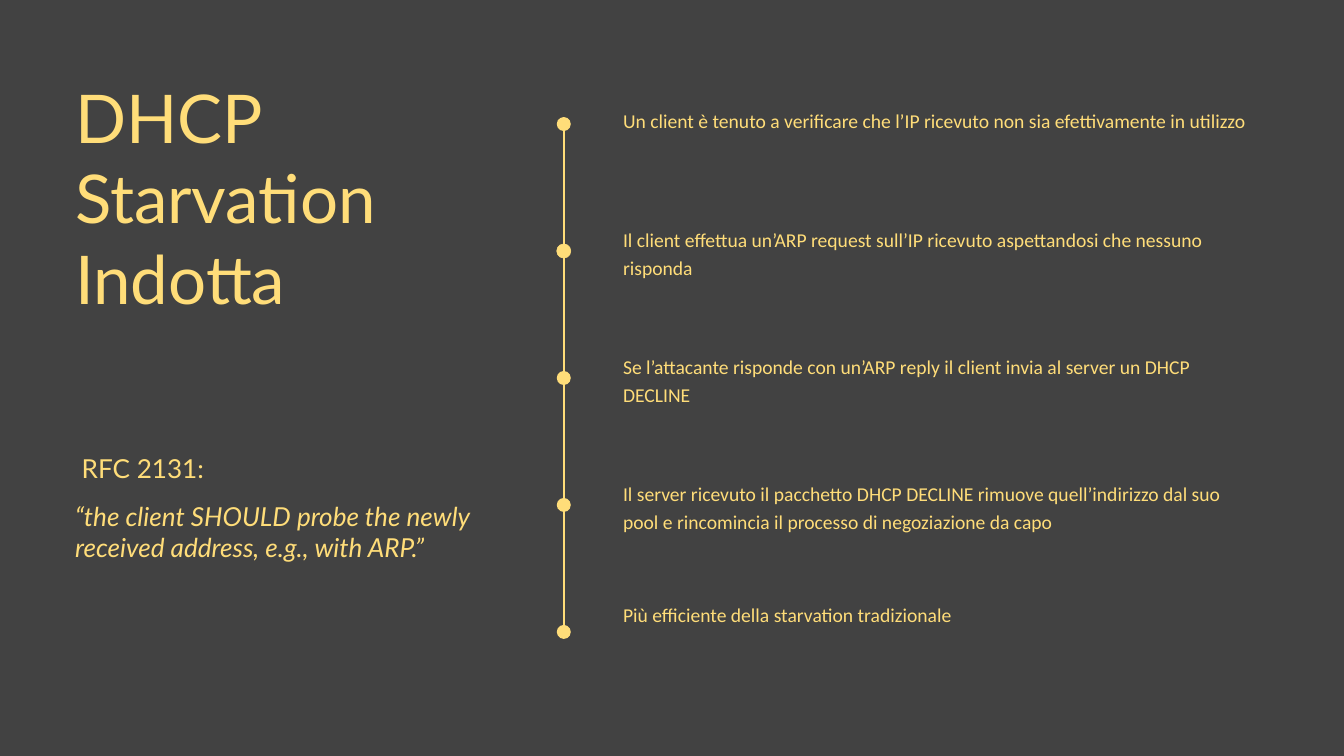
from lxml.etree import SubElement
from pptx import Presentation
from pptx.dml.color import RGBColor
from pptx.enum.shapes import MSO_CONNECTOR, MSO_SHAPE
from pptx.enum.text import MSO_ANCHOR, MSO_AUTO_SIZE, PP_ALIGN
from pptx.oxml.ns import qn
from pptx.util import Cm, Pt

YELLOW = "FFDD79"
GREY = "424242"


def color(hex_string):
    return RGBColor.from_string(hex_string)


def write(box, text, size, font="Lato", italic=False, spacing=None, inset=(0, 0)):
    frame = box.text_frame
    frame.word_wrap = True
    frame.auto_size = MSO_AUTO_SIZE.NONE
    frame.vertical_anchor = MSO_ANCHOR.TOP
    frame.margin_left = frame.margin_right = Cm(inset[0])
    frame.margin_top = frame.margin_bottom = Cm(inset[1])
    frame.text = text
    paragraph = frame.paragraphs[0]
    paragraph.alignment = PP_ALIGN.LEFT
    paragraph.space_before = Pt(0)
    if spacing:
        paragraph.line_spacing = Pt(spacing)
    run_font = paragraph.runs[0].font
    run_font.name = font
    run_font.size = Pt(size)
    run_font.italic = italic
    run_font.color.rgb = color(YELLOW)


deck = Presentation()
deck.slide_width = Cm(50.8)
deck.slide_height = Cm(28.58)
slide = deck.slides.add_slide(deck.slide_layouts[0])
slide.background.fill.solid()
slide.background.fill.fore_color.rgb = color(GREY)

heading, quote = slide.placeholders
heading.left, heading.top, heading.width, heading.height = Cm(2.84), Cm(2.87), Cm(14.96), Cm(13.59)
write(heading, "DHCP Starvation Indotta", size=72, spacing=86.4)

quote.left, quote.top, quote.width, quote.height = Cm(2.84), Cm(18.9), Cm(14.96), Cm(5.31)
write(quote, "“the client SHOULD probe the newly received address, e.g., with ARP.”", size=28, italic=True)

rfc = slide.shapes.add_textbox(Cm(2.84), Cm(16.97), Cm(6.25), Cm(1.45))
write(rfc, "RFC 2131:", size=28, inset=(0.25, 0.13))

steps = [
    (3.96, "Un client è tenuto a verificare che l’IP ricevuto non sia efettivamente in utilizzo"),
    (8.48, "Il client effettua un’ARP request sull’IP ricevuto aspettandosi che nessuno risponda"),
    (13.28, "Se l’attacante risponde con un’ARP reply il client invia al server un DHCP DECLINE"),
    (18.08, "Il server ricevuto il pacchetto DHCP DECLINE rimuove quell’indirizzo dal suo pool "
            "e rincomincia il processo di negoziazione da capo"),
    (22.63, "Più efficiente della starvation tradizionale"),
]
axis_x, first_y, pitch, diameter = 21.31, 4.69, 4.8, 0.53

timeline = slide.shapes.add_connector(
    MSO_CONNECTOR.STRAIGHT, Cm(axis_x), Cm(first_y),
    Cm(axis_x), Cm(first_y + pitch * (len(steps) - 1)))
timeline.line.color.rgb = color(YELLOW)
timeline.line.width = Pt(2.16)
SubElement(timeline.element.spPr, qn("a:effectLst"))

for index, (top, sentence) in enumerate(steps):
    dot = slide.shapes.add_shape(
        MSO_SHAPE.OVAL, Cm(axis_x - diameter / 2),
        Cm(first_y + pitch * index - diameter / 2), Cm(diameter), Cm(diameter))
    dot.shadow.inherit = False
    dot.fill.solid()
    dot.fill.fore_color.rgb = color(YELLOW)
    if index == 1:
        dot.line.color.rgb = color(YELLOW)
        dot.line.width = Pt(0.75)
    else:
        dot.line.fill.background()

    step = slide.shapes.add_textbox(Cm(23.55), Cm(top), Cm(24.03), Cm(1.98))
    write(step, sentence, size=21, font="Calibri", spacing=29.4)

deck.save("out.pptx")
